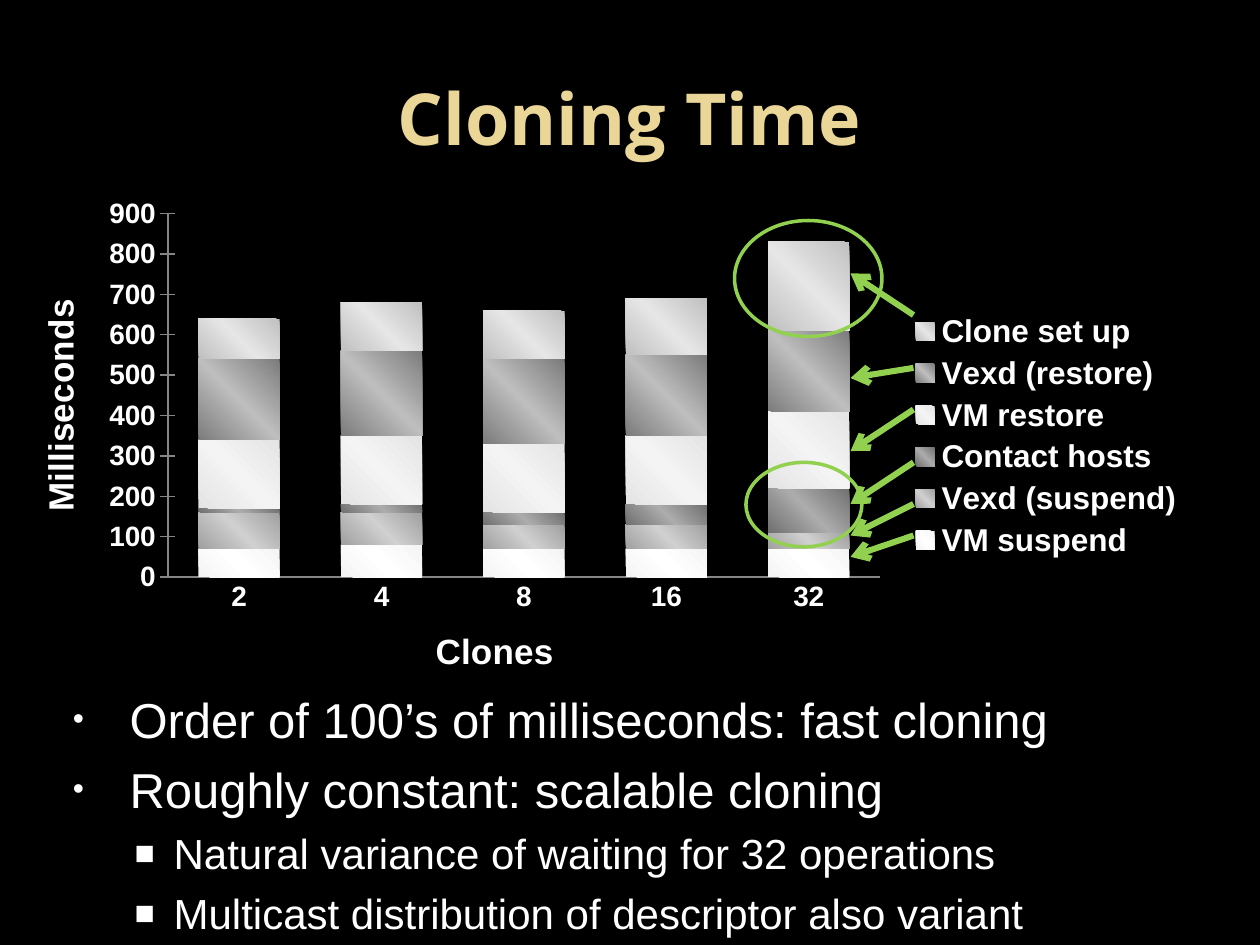
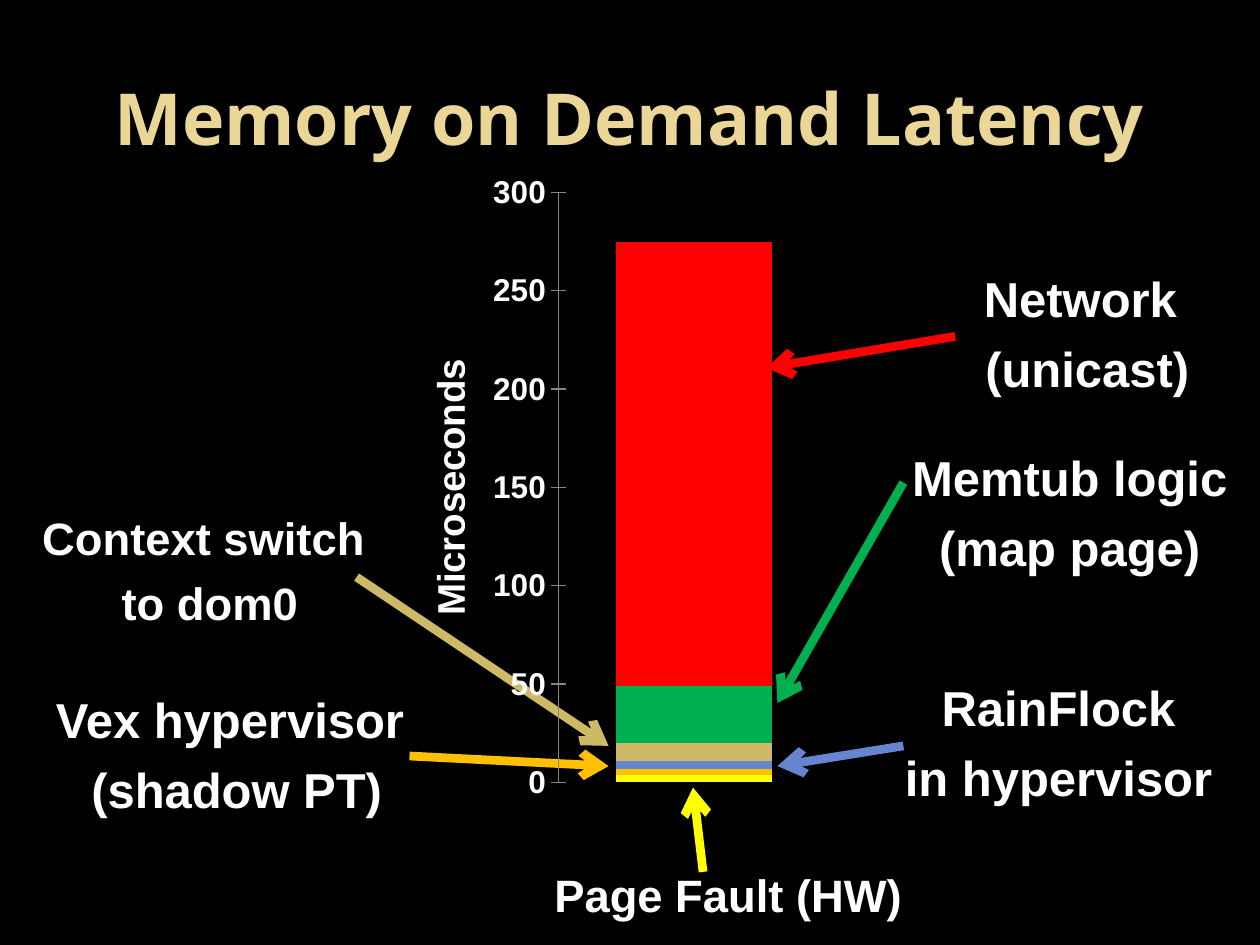
import pptx
import pptx.chart.data
import pptx.dml.color
import pptx.enum.chart
import pptx.enum.shapes
import pptx.enum.text
import pptx.oxml
import pptx.oxml.ns
import pptx.util
from dataclasses import dataclass

Inches, Pt = pptx.util.Inches, pptx.util.Pt
RGB = pptx.dml.color.RGBColor.from_string
qn = pptx.oxml.ns.qn
AXES = pptx.enum.chart.XL_TICK_MARK
ALIGN = pptx.enum.text.PP_ALIGN
SPACES = pptx.oxml.ns.nsdecls("a", "c")


@dataclass
class Theme:
    back: str = "000000"
    text: str = "FFFFFF"
    title: str = "EAD696"
    axis: str = "868686"
    green: str = "92D050"
    sand: str = "CEB966"
    amber: str = "FFC000"
    blue: str = "6585CF"
    yellow: str = "FFFF00"
    leaf: str = "00B050"
    red: str = "FF0000"
    font: str = "Arial"
    head: str = "Open Sans"
    head_size: float = 41
    large: float = 28
    label: float = 25.9
    small: float = 24


theme = Theme()


def write(slide, box, lines, size, bold=True, color=theme.text, font=theme.font,
          indent=(0.6, -0.45), bullet=None):
    """Add a text box, or append to the frame given as box."""
    fresh = isinstance(box, tuple)
    if fresh:
        frame = slide.shapes.add_textbox(*map(Inches, box)).text_frame
        frame.word_wrap = True
    else:
        frame = box
    for place, line in enumerate(lines):
        para = frame.paragraphs[0] if fresh and place == 0 else frame.add_paragraph()
        para.text = line
        para.alignment = ALIGN.LEFT if bullet else ALIGN.CENTER
        para.font.size, para.font.bold, para.font.name = Pt(size), bold, font
        para.font.color.rgb = RGB(color)
        if indent:
            para.space_before = Pt(round(size * 0.23, 1))
            props = para._p.get_or_add_pPr()
            props.set("marL", str(Inches(indent[0])))
            props.set("indent", str(Inches(indent[1])))
        if bullet:
            mark, scale = bullet
            for xml in (f'<a:buSzPct {SPACES} val="{scale}000"/>',
                        f'<a:buFont {SPACES} typeface="{theme.font}"/>',
                        f'<a:buChar {SPACES} char="{mark}"/>'):
                props.append(pptx.oxml.parse_xml(xml))
    return frame


def arrow(slide, start, end, color, width):
    line = slide.shapes.add_connector(
        pptx.enum.shapes.MSO_CONNECTOR.STRAIGHT, *map(Inches, start + end))
    line.line.color.rgb = RGB(color)
    line.line.width = Pt(width)
    props = line._element.spPr
    props.find(qn("a:ln")).append(
        pptx.oxml.parse_xml(f'<a:tailEnd {SPACES} type="arrow"/>'))
    props.append(pptx.oxml.parse_xml(f"<a:effectLst {SPACES}/>"))


# Chart contents: series name, values, fill (edge and middle tones, or one colour)
clones = [
    ("VM suspend", (70, 80, 70, 70, 70), ("F4F4F4", "FFFFFF")),
    ("Vexd (suspend)", (90, 80, 60, 60, 40), ("A0A0A0", "D0D0D0")),
    ("Contact hosts", (10, 20, 30, 50, 110), ("707070", "ACACAC")),
    ("VM restore", (170, 170, 170, 170, 190), ("E4E4E4", "F4F4F4")),
    ("Vexd (restore)", (200, 210, 210, 200, 200), ("7C7C7C", "BEBEBE")),
    ("Clone set up", (100, 120, 120, 140, 220), ("C0C0C0", "E6E6E6")),
]
faults = [
    (f"Series {rank}", (value,), (color,))
    for rank, (value, color) in enumerate(
        [(4, theme.yellow), (3, theme.amber), (4, theme.blue),
         (9, theme.sand), (29, theme.leaf), (226, theme.red)], 1)
]
plans = [
    dict(title="Cloning Time", box=(0.25, 1.5, 9.25, 3.92), series=clones,
         cats=("2", "4", "8", "16", "32"), plot=(0.117, 0.05, 0.611, 0.736),
         unit="Milliseconds", top=900, step=100, size=16, name=20,
         below="Clones", behind=[]),
    dict(title="Memory on Demand Latency", box=(3.17, 1.33, 3.5, 5.08), series=faults,
         cats=("1",), plot=(0.36, 0.039, 0.616, 0.922),
         unit="Microseconds", top=300, step=50, size=18, name=22, below=None,
         behind=[((3.25, 6), (4.83, 6.08), theme.amber),
                 ((2.83, 4.58), (4.83, 5.92), theme.sand)]),
]

deck = pptx.Presentation()
deck.slide_width, deck.slide_height = Inches(10), Inches(7.5)
slides = []

for plan in plans:
    slide = deck.slides.add_slide(deck.slide_layouts[6])
    slides.append(slide)
    slide.background.fill.solid()
    slide.background.fill.fore_color.rgb = RGB(theme.back)

    # Title
    frame = write(slide, (0.5, 0.3, 9, 1.25), [plan["title"]], theme.head_size,
                  color=theme.title, font=theme.head, indent=None)
    frame.vertical_anchor = pptx.enum.text.MSO_ANCHOR.MIDDLE

    # Arrows that pass behind the axis
    for start, end, color in plan["behind"]:
        arrow(slide, start, end, color, 5)

    # Stacked columns
    data = pptx.chart.data.CategoryChartData()
    data.categories = plan["cats"]
    for name, values, tones in plan["series"]:
        data.add_series(name, values)
    chart = slide.shapes.add_chart(
        pptx.enum.chart.XL_CHART_TYPE.COLUMN_STACKED,
        *map(Inches, plan["box"]), data).chart
    chart.has_title = False
    chart.font.name, chart.font.bold = theme.font, True
    chart.font.size = Pt(plan["size"])
    chart.font.color.rgb = RGB(theme.text)
    bars = chart.plots[0]
    bars.gap_width, bars.overlap, bars.vary_by_categories = 75, 100, False
    for column, (name, values, tones) in zip(bars.series, plan["series"]):
        if len(tones) == 1:
            column.format.fill.solid()
            column.format.fill.fore_color.rgb = RGB(tones[0])
        else:
            edge, core = tones
            stops = "".join(
                f'<a:gs pos="{pos}000"><a:srgbClr val="{tone}"/></a:gs>'
                for pos, tone in ((0, edge), (50, core), (100, edge)))
            column._element.get_or_add_spPr().append(pptx.oxml.parse_xml(
                f"<a:gradFill {SPACES}><a:gsLst>{stops}</a:gsLst>"
                '<a:lin ang="18900000" scaled="0"/></a:gradFill>'))

    # Axes and legend
    base, scale = chart.category_axis, chart.value_axis
    scale.minimum_scale, scale.maximum_scale = 0, plan["top"]
    scale.major_unit = plan["step"]
    scale.has_major_gridlines = False
    scale.major_tick_mark, base.major_tick_mark = AXES.CROSS, AXES.NONE
    base.visible = bool(plan["below"])
    for axis, label in ((scale, plan["unit"]), (base, plan["below"])):
        if label:
            axis.format.line.color.rgb = RGB(theme.axis)
            axis.axis_title.text_frame.text = label
            font = axis.axis_title.text_frame.paragraphs[0].font
            font.size, font.bold, font.name = Pt(plan["name"]), True, theme.font
            font.color.rgb = RGB(theme.text)
    chart.has_legend = bool(plan["below"])
    if chart.has_legend:
        chart.legend.position = pptx.enum.chart.XL_LEGEND_POSITION.RIGHT
        chart.legend.include_in_layout = False
        chart.legend.font.size, chart.legend.font.bold = Pt(18), True
        chart.legend.font.name = theme.font
        chart.legend.font.color.rgb = RGB(theme.text)

    # Fixed plot area on a clear ground
    root = chart._chartSpace
    area = root.find(".//" + qn("c:plotArea"))
    for old in area.findall(qn("c:layout")):
        area.remove(old)
    sides = "".join(f'<c:{key} val="{value}"/>' for key, value in zip("xywh", plan["plot"]))
    area.insert(0, pptx.oxml.parse_xml(
        f'<c:layout {SPACES}><c:manualLayout><c:layoutTarget val="inner"/>'
        f'<c:xMode val="edge"/><c:yMode val="edge"/>{sides}'
        "</c:manualLayout></c:layout>"))
    clear = f"<c:spPr {SPACES}><a:noFill/><a:ln><a:noFill/></a:ln></c:spPr>"
    area.append(pptx.oxml.parse_xml(clear))
    root.find(qn("c:txPr")).addprevious(pptx.oxml.parse_xml(clear))

first, second = slides

# Findings under the cloning chart
notes = write(first, (0.33, 5.42, 9, 2.08),
              ["Order of 100’s of milliseconds: fast cloning",
               "Roughly constant: scalable cloning"],
              theme.large, bold=False, bullet=("•", 65))
write(first, notes,
      ["Natural variance of waiting for 32 operations",
       "Multicast distribution of descriptor also variant"],
      theme.small, bold=False, indent=(0.95, -0.31), bullet=("■", 80))

# Legend arrows to the last column, and rings round the variable parts
for start, end in ((2.5, 2.17), (2.92, 3), (3.25, 3.58),
                   (3.67, 4), (4, 4.25), (4.25, 4.42)):
    arrow(first, (7.25, start), (6.75, end), theme.green, 3.5)
for box in ((5.92, 3.67, 0.92, 0.67), (5.83, 1.75, 1.17, 0.92)):
    ring = first.shapes.add_shape(pptx.enum.shapes.MSO_SHAPE.OVAL, *map(Inches, box))
    ring.shadow.inherit = False
    ring.fill.background()
    ring.line.color.rgb = RGB(theme.green)
    ring.line.width = Pt(2)

# Labels round the latency column
for box, lines, size in (
        ((7.25, 2.08, 2.5, 1.08), ["Network", " (unicast)"], theme.large),
        ((0, 4, 3.08, 1.08), ["Context switch", " to dom0"], theme.label),
        ((6.92, 5.33, 2.92, 1.17), ["RainFlock ", "in hypervisor "], theme.large),
        ((0, 5.42, 3.5, 1.17), ["Vex hypervisor", " (shadow PT)"], theme.large),
        ((4.08, 6.83, 3.25, 0.67), ["Page Fault (HW)"], theme.label),
        ((6.83, 3.5, 3.17, 1.5), ["Memtub logic", "(map page)"], theme.large)):
    write(second, box, lines, size)

# Arrows from the labels to their parts
for start, end, color in (
        ((7.58, 2.67), (6.08, 2.92), theme.red),
        ((7.17, 3.83), (6.17, 5.58), theme.leaf),
        ((7.17, 5.92), (6.17, 6.08), theme.blue),
        ((5.58, 6.92), (5.5, 6.25), theme.yellow)):
    arrow(second, start, end, color, 5)

deck.save("out.pptx")
